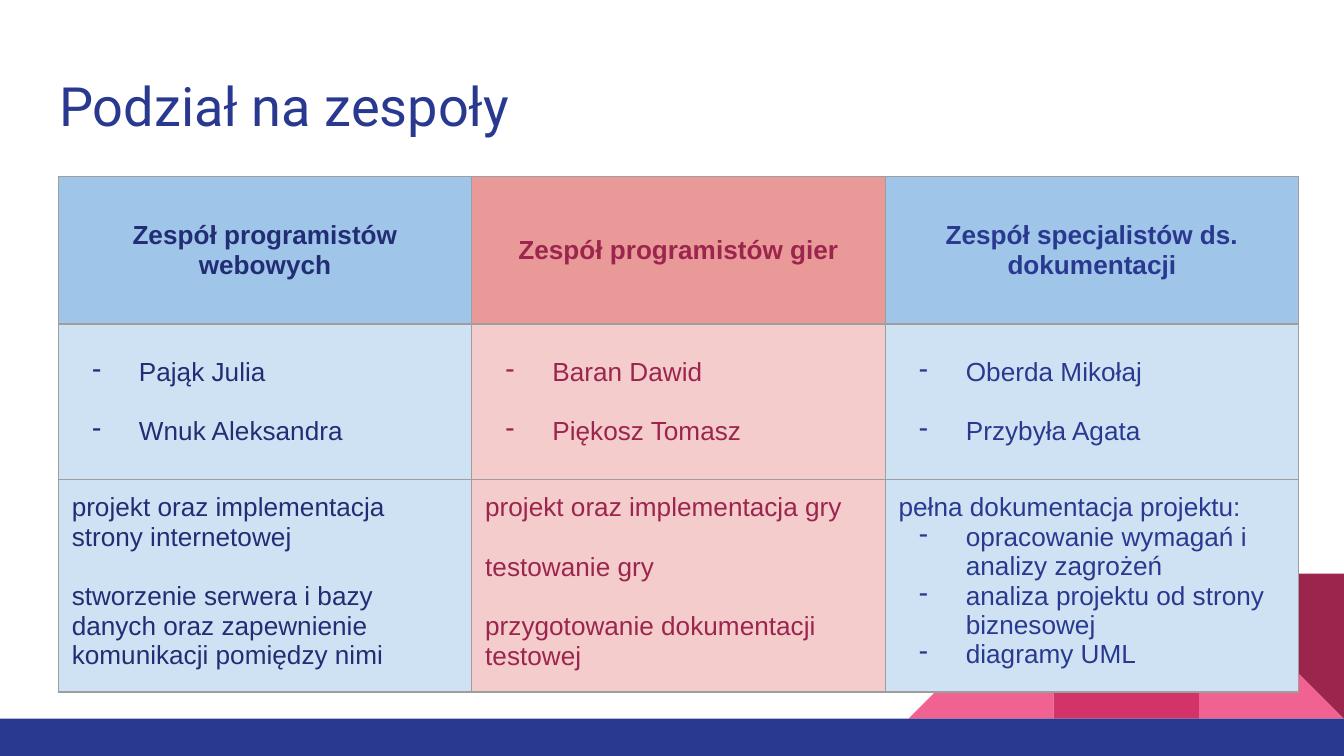
from dataclasses import dataclass

from lxml import etree
from pptx import Presentation
from pptx import util as u
from pptx.dml import color
from pptx.enum import shapes, text
from pptx.oxml import ns

COLORS = {
    "navy": "212D74", "blue": "2A3990", "wine": "9C254D",
    "pink": "F06292", "raspberry": "D23369", "grey": "9E9E9E",
    "head_blue": "9FC5E8", "head_red": "EA9999",
    "pale_blue": "CFE2F3", "pale_red": "F4CCCC",
}
LINE_GAP = 16.1
BLOCK = 77.75
BAR_TOP = 385
MARGIN = 7.2


@dataclass
class Decoration:
    kind: shapes.MSO_SHAPE
    left: float
    top: float
    width: float
    height: float
    fill: str
    rotation: float = 0


@dataclass
class Line:
    wording: str
    bullet: bool = False
    gap: float = 0


@dataclass
class Team:
    name: str
    members: list[str]
    tasks: list[Line]
    ink: str
    head_fill: str
    body_fill: str


def rgb(name: str) -> color.RGBColor:
    return color.RGBColor.from_string(COLORS[name])


def draw_decoration(slide, item: Decoration) -> None:
    shape = slide.shapes.add_shape(
        item.kind, u.Pt(item.left), u.Pt(item.top), u.Pt(item.width), u.Pt(item.height))
    shape.shadow.inherit = False
    shape.fill.solid()
    shape.fill.fore_color.rgb = rgb(item.fill)
    shape.line.fill.background()
    shape.rotation = item.rotation


def add_bullet(paragraph, ink: str) -> None:
    props = paragraph._p.get_or_add_pPr()
    props.set("marL", str(u.Pt(36)))
    props.set("indent", str(u.Pt(-25)))
    tint = etree.SubElement(props, ns.qn("a:buClr"))
    etree.SubElement(tint, ns.qn("a:srgbClr"), val=COLORS[ink])
    etree.SubElement(props, ns.qn("a:buChar"), char="-")


def add_borders(cell) -> None:
    props = cell._tc.get_or_add_tcPr()
    for position, side in enumerate(("lnL", "lnR", "lnT", "lnB")):
        border = etree.Element(ns.qn(f"a:{side}"), w=str(u.Pt(0.75)))
        fill = etree.SubElement(border, ns.qn("a:solidFill"))
        etree.SubElement(fill, ns.qn("a:srgbClr"), val=COLORS["grey"])
        props.insert(position, border)


def fill_cell(cell, lines: list[Line], ink: str, fill: str,
              heading: bool = False, middle: bool = True) -> None:
    cell.fill.solid()
    cell.fill.fore_color.rgb = rgb(fill)
    add_borders(cell)
    cell.margin_left = cell.margin_right = u.Pt(MARGIN)
    cell.margin_top = cell.margin_bottom = u.Pt(MARGIN)
    cell.vertical_anchor = text.MSO_ANCHOR.MIDDLE if middle else text.MSO_ANCHOR.TOP
    for index, line in enumerate(lines):
        frame = cell.text_frame
        paragraph = frame.add_paragraph() if index else frame.paragraphs[0]
        paragraph.text = line.wording
        if line.bullet:
            add_bullet(paragraph, ink)
        if line.gap:
            paragraph.space_before = u.Pt(line.gap)
        paragraph.alignment = text.PP_ALIGN.CENTER if heading else text.PP_ALIGN.LEFT
        font = paragraph.font
        font.name, font.size, font.bold = "Arial", u.Pt(14), heading
        font.color.rgb = rgb(ink)


def draw_team(table, column: int, team: Team) -> None:
    members = [Line(name, True, LINE_GAP if index else 0)
               for index, name in enumerate(team.members)]
    fill_cell(table.cell(0, column), [Line(team.name)], team.ink, team.head_fill, heading=True)
    fill_cell(table.cell(1, column), members, team.ink, team.body_fill)
    fill_cell(table.cell(2, column), team.tasks, team.ink, team.body_fill, middle=False)


def draw_title(slide, wording: str) -> None:
    title = slide.shapes.title
    title.left, title.top = u.Pt(24.5), u.Pt(32.4)
    title.width, title.height = u.Pt(671), u.Pt(47.5)
    frame = title.text_frame
    frame.margin_left = frame.margin_right = u.Pt(MARGIN)
    frame.margin_top = frame.margin_bottom = u.Pt(MARGIN)
    frame.vertical_anchor = text.MSO_ANCHOR.MIDDLE
    frame.auto_size = text.MSO_AUTO_SIZE.NONE
    paragraph = frame.paragraphs[0]
    paragraph.text = wording
    paragraph.alignment = text.PP_ALIGN.LEFT
    paragraph.font.name, paragraph.font.size = "Roboto", u.Pt(29)
    paragraph.font.color.rgb = rgb("blue")


TRIANGLE, RECTANGLE = shapes.MSO_SHAPE.RIGHT_TRIANGLE, shapes.MSO_SHAPE.RECTANGLE
BLOCKS = [
    (TRIANGLE, 1, "pink", 0),
    (TRIANGLE, 3, "pink", 270),
    (RECTANGLE, 2, "raspberry", 0),
    (TRIANGLE, 1, "wine", 180),
]
TEAMS = [
    Team("Zespół programistów webowych", ["Pająk Julia", "Wnuk Aleksandra"],
         [Line("projekt oraz implementacja strony internetowej"),
          Line("stworzenie serwera i bazy danych oraz zapewnienie komunikacji pomiędzy nimi",
               gap=LINE_GAP)],
         "navy", "head_blue", "pale_blue"),
    Team("Zespół programistów gier", ["Baran Dawid", "Piękosz Tomasz"],
         [Line("projekt oraz implementacja gry"),
          Line("testowanie gry", gap=LINE_GAP),
          Line("przygotowanie dokumentacji testowej", gap=LINE_GAP)],
         "wine", "head_red", "pale_red"),
    Team("Zespół specjalistów ds. dokumentacji", ["Oberda Mikołaj", "Przybyła Agata"],
         [Line("pełna dokumentacja projektu:"),
          Line("opracowanie wymagań i analizy zagrożeń", True),
          Line("analiza projektu od strony biznesowej", True),
          Line("diagramy UML", True)],
         "blue", "head_blue", "pale_blue"),
]
ROW_HEIGHTS = [79, 83.5, 113.7]
COLUMN_WIDTH = 221.5


def main() -> None:
    deck = Presentation()
    deck.slide_width, deck.slide_height = u.Pt(720), u.Pt(405)
    slide = deck.slides.add_slide(deck.slide_layouts[5])

    for kind, steps, fill, rotation in BLOCKS:
        draw_decoration(slide, Decoration(
            kind, 720 - steps * BLOCK, BAR_TOP - BLOCK, BLOCK, BLOCK, fill, rotation))
    draw_decoration(slide, Decoration(RECTANGLE, 0, BAR_TOP, 720, 405 - BAR_TOP, "blue"))
    draw_title(slide, "Podział na zespoły")

    table = slide.shapes.add_table(
        len(ROW_HEIGHTS), len(TEAMS), u.Pt(31.25), u.Pt(94.6),
        u.Pt(COLUMN_WIDTH * len(TEAMS)), u.Pt(sum(ROW_HEIGHTS))).table
    table.first_row = table.horz_banding = False
    for row, height in zip(table.rows, ROW_HEIGHTS):
        row.height = u.Pt(height)
    for index, team in enumerate(TEAMS):
        table.columns[index].width = u.Pt(COLUMN_WIDTH)
        draw_team(table, index, team)

    deck.save("out.pptx")


if __name__ == "__main__":
    main()
